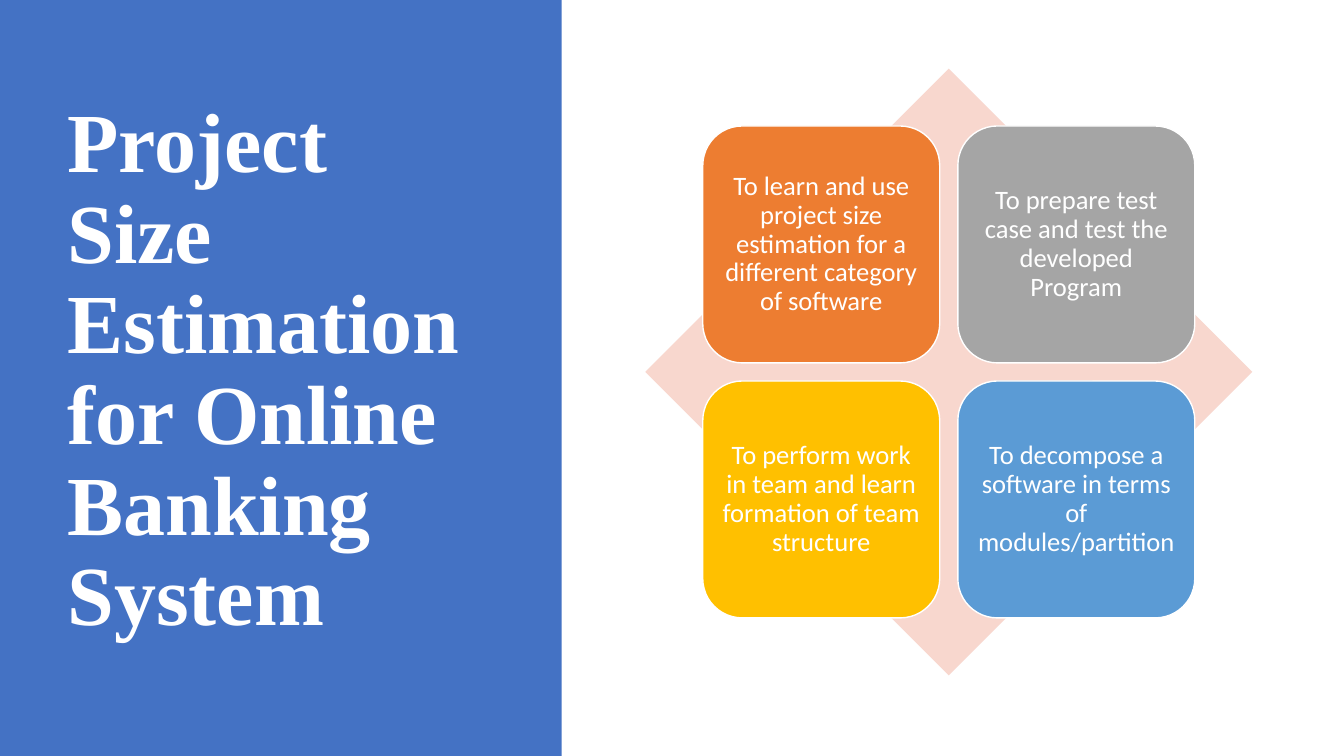
from pptx import Presentation
from pptx import util as u
from pptx.dml.color import RGBColor
from pptx.enum import shapes, text

WHITE = RGBColor(0xFF, 0xFF, 0xFF)
BLUE = RGBColor(0x44, 0x72, 0xC4)
PINK = RGBColor(0xF8, 0xD7, 0xCE)
ORANGE = RGBColor(0xED, 0x7D, 0x31)
GREY = RGBColor(0xA5, 0xA5, 0xA5)
GOLD = RGBColor(0xFF, 0xC0, 0x00)
SKY = RGBColor(0x5B, 0x9B, 0xD5)

W, H = 13.33, 7.5
PANEL_W = 5.57
DIAMOND_X, DIAMOND_Y, DIAMOND = 6.4, 0.68, 6.02
CARD, PITCH, INSET = 2.35, 2.53, 0.57  # card side, card step, offset in diamond

GOALS = [
    ("To learn and use project size estimation for a different category "
     "of software", ORANGE),
    ("To prepare test case and test the developed Program", GREY),
    ("To perform work in team and learn formation of team structure", GOLD),
    ("To decompose a software in terms of modules/partition", SKY),
]


def add_block(s, kind, x, y, w, h, fill):
    """Add a flat, borderless preset shape measured in inches."""
    sp = s.shapes.add_shape(kind, *map(u.Inches, (x, y, w, h)))
    sp.shadow.inherit = False
    sp.fill.solid()
    sp.fill.fore_color.rgb = fill
    sp.line.fill.background()
    return sp


def style(p, font, size, align, bold=False):
    """Format a white paragraph with tight line spacing."""
    p.alignment = align
    p.line_spacing = 0.9
    p.font.name, p.font.size, p.font.bold = font, u.Pt(size), bold
    p.font.color.rgb = WHITE


def set_title(s, words):
    """Place the title over the side panel."""
    sp = s.shapes.title
    sp.left, sp.top, sp.width, sp.height = map(
        u.Inches, (0.57, DIAMOND_Y, 4.16, DIAMOND))
    tf = sp.text_frame
    tf.text = words
    tf.word_wrap = True
    tf.auto_size = text.MSO_AUTO_SIZE.NONE
    tf.vertical_anchor = text.MSO_ANCHOR.MIDDLE
    style(tf.paragraphs[0], "Times New Roman", 60, text.PP_ALIGN.LEFT, True)
    s.shapes._spTree.append(sp._element)  # bring in front of the panel


def add_goal(s, col, row, words, fill):
    """Add a rounded goal card at a column and row of the matrix."""
    sp = add_block(s, shapes.MSO_SHAPE.ROUNDED_RECTANGLE,
                   DIAMOND_X + INSET + col * PITCH,
                   DIAMOND_Y + INSET + row * PITCH, CARD, CARD, fill)
    sp.line.color.rgb = WHITE
    sp.line.width = u.Pt(1)
    tf = sp.text_frame
    tf.text = words
    tf.word_wrap = True
    tf.vertical_anchor = text.MSO_ANCHOR.MIDDLE
    tf.margin_left = tf.margin_right = u.Inches(0.08)
    tf.margin_top = tf.margin_bottom = u.Inches(0.08)
    style(tf.paragraphs[0], "Calibri", 19, text.PP_ALIGN.CENTER)


def main():
    """Build the slide and save it."""
    prs = Presentation()
    prs.slide_width, prs.slide_height = u.Inches(W), u.Inches(H)
    s = prs.slides.add_slide(prs.slide_layouts[5])
    add_block(s, shapes.MSO_SHAPE.RECTANGLE, 0, 0, PANEL_W, H, BLUE)
    set_title(s, "Project Size Estimation for Online Banking System")
    add_block(s, shapes.MSO_SHAPE.DIAMOND, DIAMOND_X, DIAMOND_Y,
              DIAMOND, DIAMOND, PINK)
    for i, (words, fill) in enumerate(GOALS):
        row, col = divmod(i, 2)
        add_goal(s, col, row, words, fill)
    prs.save("out.pptx")


main()
